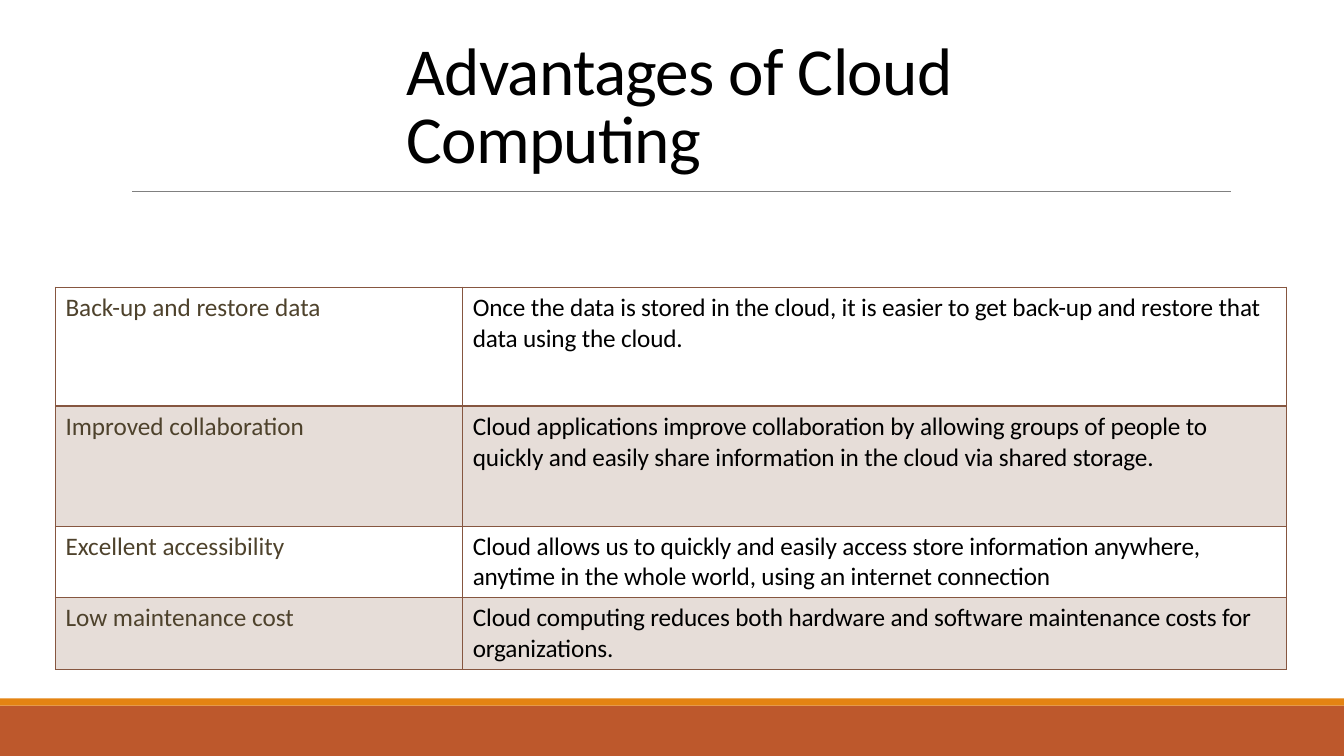
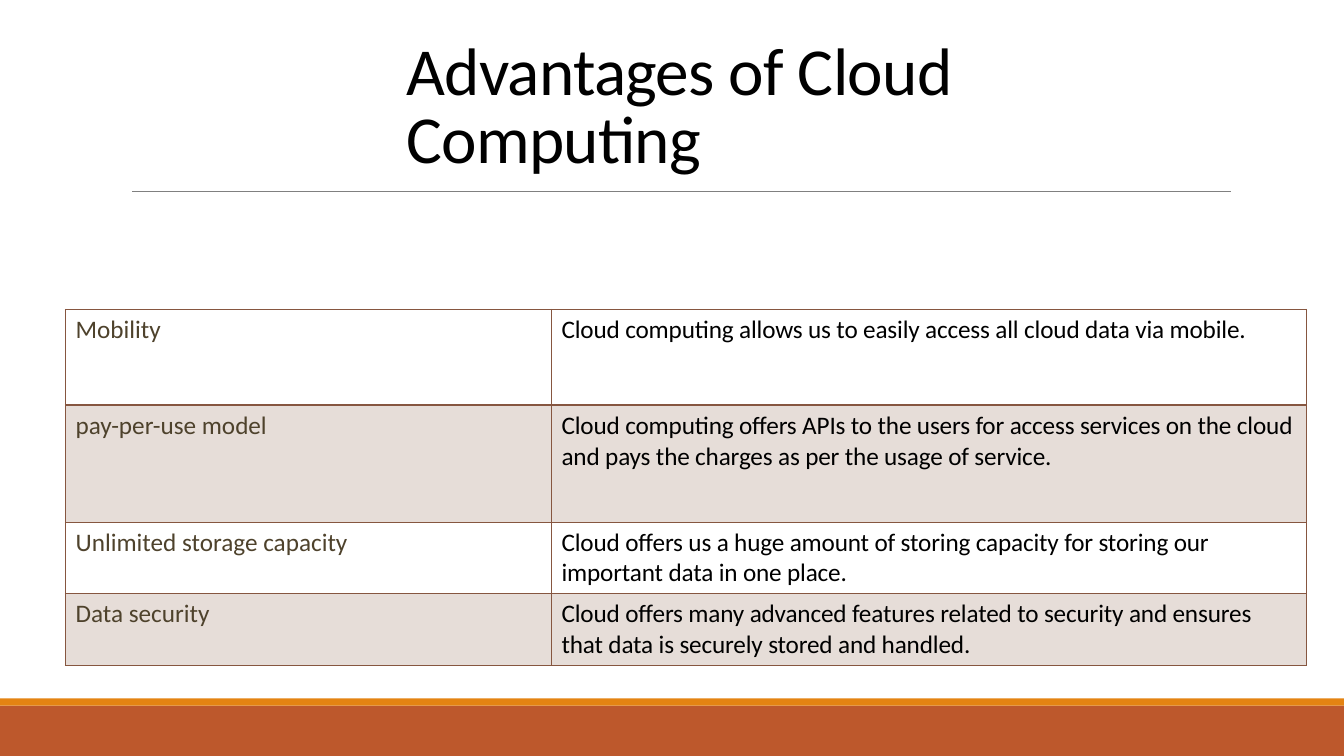
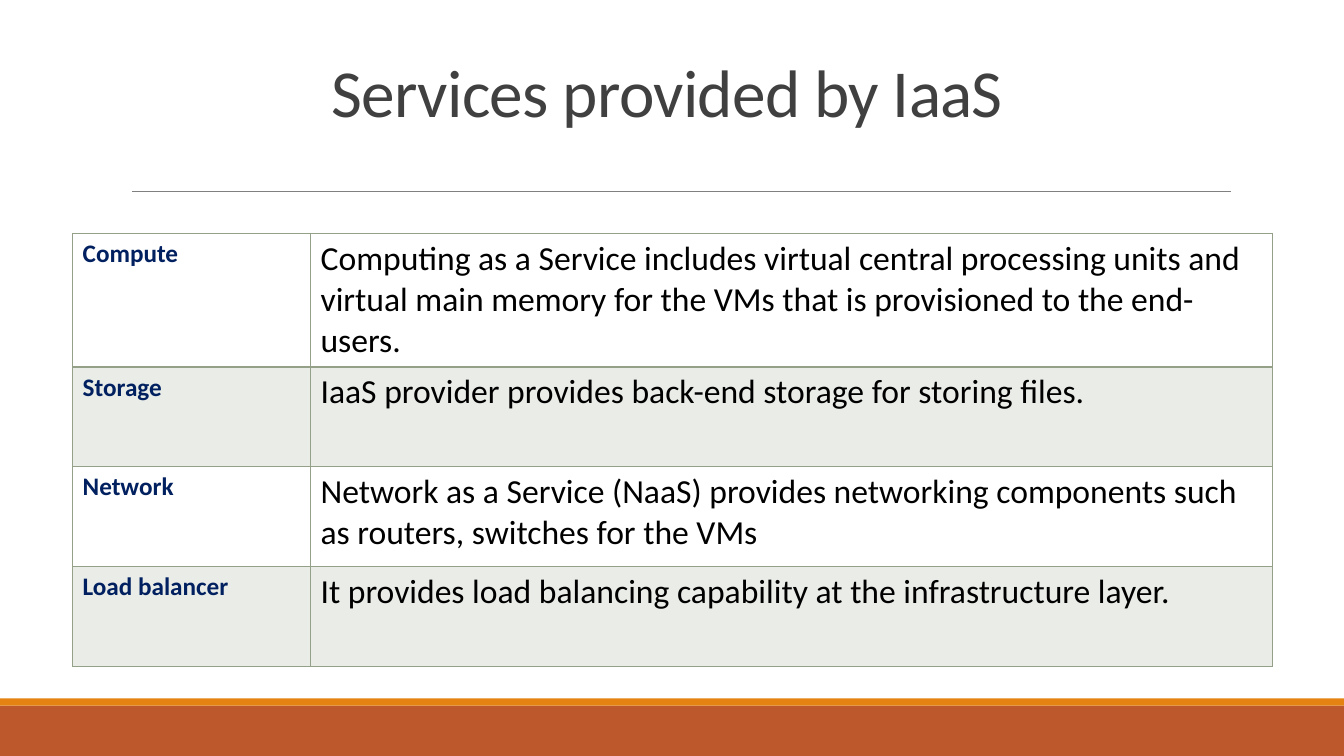
from lxml.etree import SubElement
from pptx import Presentation
from pptx.dml.color import RGBColor
from pptx.enum.shapes import MSO_CONNECTOR, MSO_SHAPE
from pptx.enum.text import MSO_ANCHOR, MSO_AUTO_SIZE, PP_ALIGN
from pptx.oxml.ns import qn
from pptx.util import Inches, Pt

FONT = "Calibri"
BLACK, CHARCOAL, GREY = "000000", "404040", "808080"
RUST, ORANGE = "BD582C", "E48312"
BROWN, DARK_BROWN = "865640", "4E422C"
SAGE, NAVY = "94A088", "002060"
SLIDE_WIDTH, SLIDE_HEIGHT = 13.33, 7.5

ADVANTAGES_TITLE = dict(text="Advantages of Cloud Computing", box=(3.93, 0.32, 7.93, 1.49), color=BLACK)
SERVICES_TITLE = dict(text="Services provided by IaaS", box=(1.19, 0.57, 11, 0.78), color=CHARCOAL, indent=2)
ADVANTAGES_STYLE = dict(
    accent=BROWN,
    formats=(dict(size=18, color=DARK_BROWN), dict(size=18, color=BLACK, spacing=-0.1)),
)
SERVICES_STYLE = dict(
    accent=SAGE,
    formats=(dict(size=18, color=NAVY, bold=True), dict(size=24, color=BLACK)),
)

BACKUP_ROWS = [
    ("Back-up and restore data",
     "Once the data is stored in the cloud, it is easier to get back-up and restore that data using the cloud."),
    ("Improved collaboration",
     "Cloud applications improve collaboration by allowing groups of people to quickly and easily share "
     "information in the cloud via shared storage."),
    ("Excellent accessibility",
     "Cloud allows us to quickly and easily access store information anywhere, anytime in the whole world, "
     "using an internet connection"),
    ("Low maintenance cost",
     "Cloud computing reduces both hardware and software maintenance costs for organizations."),
]
MOBILITY_ROWS = [
    ("Mobility", "Cloud computing allows us to easily access all cloud data via mobile."),
    ("pay-per-use model",
     "Cloud computing offers APIs to the users for access services on the cloud and pays the charges as per "
     "the usage of service."),
    ("Unlimited storage capacity",
     "Cloud offers us a huge amount of storing capacity for storing our important data in one place."),
    ("Data security",
     "Cloud offers many advanced features related to security and ensures that data is securely stored and handled."),
]
SERVICE_ROWS = [
    ("Compute",
     "Computing as a Service includes virtual central processing units and virtual main memory for the VMs "
     "that is provisioned to the end-users."),
    ("Storage", "IaaS provider provides back-end storage for storing files."),
    ("Network",
     "Network as a Service (NaaS) provides networking components such as routers, switches for the VMs"),
    ("Load balancer", "It provides load balancing capability at the infrastructure layer."),
]


def rgb(color):
    """Return the colour for a hex string."""
    return RGBColor.from_string(color)


def write_text(text_frame, text, size, color, bold=False, spacing=0, line_spacing=1.0):
    """Write one left-aligned, formatted paragraph into a text frame."""
    paragraph = text_frame.paragraphs[0]
    paragraph.alignment = PP_ALIGN.LEFT
    paragraph.line_spacing = line_spacing
    run = paragraph.add_run()
    run.text = text
    run.font.name = FONT
    run.font.size = Pt(size)
    run.font.bold = bold
    run.font.color.rgb = rgb(color)
    run.font._element.set("spc", str(round(spacing * 100)))


def add_band(slide, top, height, color):
    """Add a full-width band and return it."""
    band = slide.shapes.add_shape(
        MSO_SHAPE.RECTANGLE, 0, Inches(top), Inches(SLIDE_WIDTH), Inches(height))
    band.shadow.inherit = False
    band.fill.solid()
    band.fill.fore_color.rgb = rgb(color)
    band.line.fill.background()
    return band


def add_rule(slide, left, right, top):
    """Add the thin line under the title and return it."""
    rule = slide.shapes.add_connector(
        MSO_CONNECTOR.STRAIGHT, Inches(left), Inches(top), Inches(right), Inches(top))
    rule.line.color.rgb = rgb(GREY)
    rule.line.width = Pt(0.5)
    SubElement(rule.element.spPr, qn("a:effectLst"))
    return rule


def decorate_layout(layout, slide):
    """Give the layout the bands and rule that all slides share."""
    for placeholder in list(layout.placeholders)[1:]:
        layout.shapes.element.remove(placeholder.element)
    decorations = [
        add_band(slide, 7, 0.5, RUST),
        add_band(slide, 6.93, 0.07, ORANGE),
        add_rule(slide, 1.31, 12.21, 1.9),
    ]
    for shape in decorations:
        layout.shapes.element.append(shape.element)


def set_title(slide, text, box, color, indent=0):
    """Place and format the title placeholder."""
    title = slide.shapes.title
    title.left, title.top, title.width, title.height = map(Inches, box)
    text_frame = title.text_frame
    text_frame.word_wrap = True
    text_frame.auto_size = MSO_AUTO_SIZE.NONE
    text_frame.vertical_anchor = MSO_ANCHOR.BOTTOM
    text_frame.margin_left = Inches(0.1 + indent)
    write_text(text_frame, text, size=48, color=color, spacing=-0.5, line_spacing=0.85)


def set_borders(cell, color, widths):
    """Draw the cell borders, with widths in points by side."""
    properties = cell._tc.get_or_add_tcPr()
    for side, width in widths.items():
        line = SubElement(properties, qn(f"a:ln{side}"), w=str(Pt(width)))
        fill = SubElement(line, qn("a:solidFill"))
        SubElement(fill, qn("a:srgbClr"), val=color)


def set_tint(cell, color, percent):
    """Fill a cell with a partly transparent colour."""
    cell.fill.solid()
    cell.fill.fore_color.rgb = rgb(color)
    color_element = cell._tc.tcPr.find(f"{qn('a:solidFill')}/{qn('a:srgbClr')}")
    SubElement(color_element, qn("a:alpha"), val=str(percent * 1000))


def add_topic_table(slide, left, top, widths, heights, rows, accent, formats):
    """Add a table of topics and descriptions with every second row tinted."""
    frame = slide.shapes.add_table(
        len(rows), len(widths), Inches(left), Inches(top), Inches(sum(widths)), Inches(sum(heights)))
    table = frame.table
    table.first_row = table.horz_banding = False
    for column, width in zip(table.columns, widths):
        column.width = Inches(width)
    for row_index, (height, texts) in enumerate(zip(heights, rows)):
        table.rows[row_index].height = Inches(height)
        borders = dict(L=1, R=1, T=2 if row_index == 1 else 1, B=2 if row_index == 0 else 1)
        for column_index, (text, text_format) in enumerate(zip(texts, formats)):
            cell = table.cell(row_index, column_index)
            write_text(cell.text_frame, text, **text_format)
            set_borders(cell, accent, borders)
            if row_index % 2:
                set_tint(cell, accent, 20)
            else:
                cell.fill.background()


def main():
    """Build the presentation and save it."""
    presentation = Presentation()
    presentation.slide_width = Inches(SLIDE_WIDTH)
    presentation.slide_height = Inches(SLIDE_HEIGHT)
    layout = presentation.slide_layouts[5]
    backup, mobility, services = [presentation.slides.add_slide(layout) for _ in range(3)]
    decorate_layout(layout, backup)

    set_title(backup, **ADVANTAGES_TITLE)
    add_topic_table(backup, 0.55, 2.85, (4.04, 8.17), (1.18, 1.19, 0.71, 0.71), BACKUP_ROWS, **ADVANTAGES_STYLE)

    set_title(mobility, **ADVANTAGES_TITLE)
    add_topic_table(mobility, 0.65, 3.07, (4.82, 7.49), (0.95, 1.16, 0.71, 0.71), MOBILITY_ROWS, **ADVANTAGES_STYLE)

    set_title(services, **SERVICES_TITLE)
    add_topic_table(services, 0.72, 2.32, (2.36, 9.54), (1.31, 0.99, 0.99, 0.99), SERVICE_ROWS, **SERVICES_STYLE)

    presentation.save("out.pptx")


if __name__ == "__main__":
    main()
